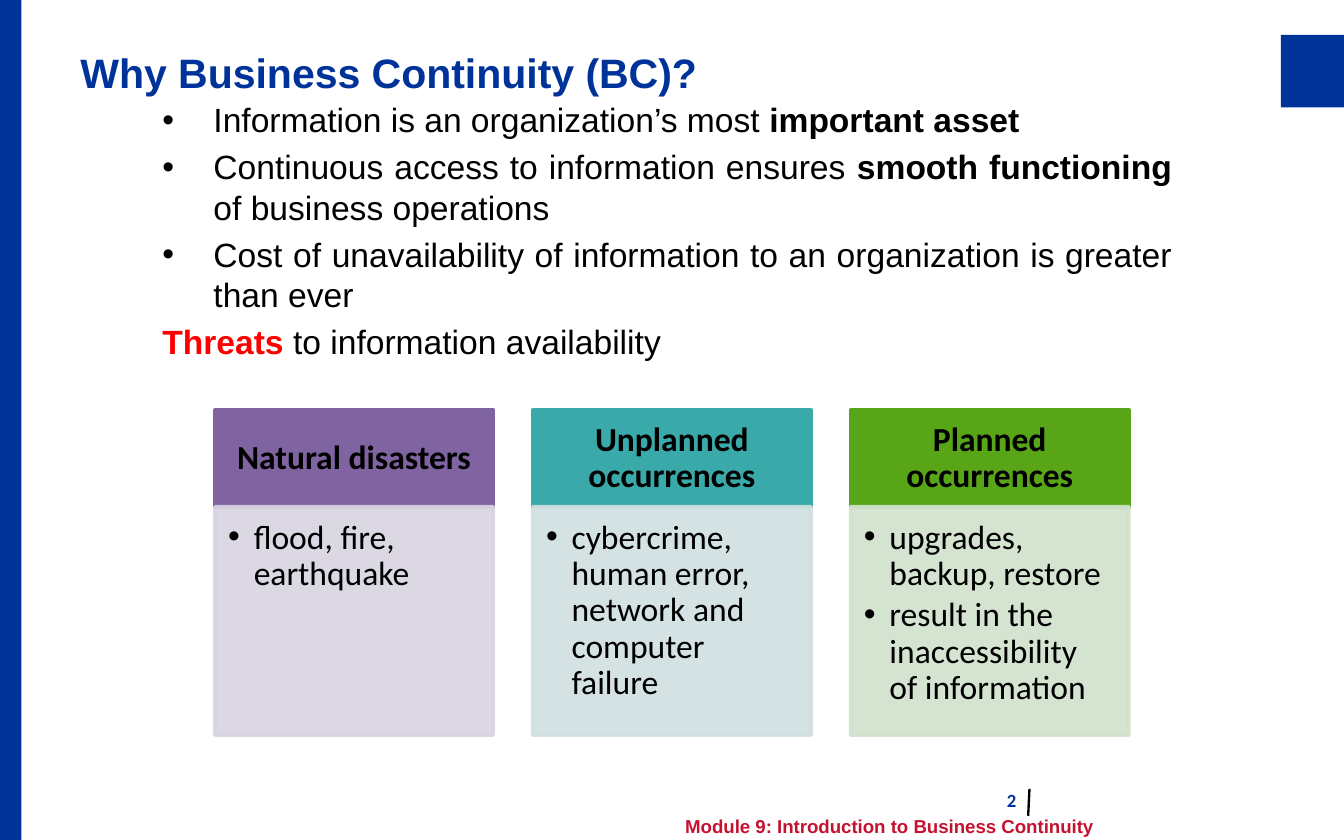
from lxml.etree import SubElement
from pptx import Presentation
from pptx.dml.color import RGBColor
from pptx.enum.shapes import MSO_CONNECTOR, MSO_SHAPE
from pptx.enum.text import MSO_ANCHOR, PP_ALIGN
from pptx.oxml.ns import qn
from pptx.util import Inches, Pt

TITLE = "Why Business Continuity (BC)?"
# Each run is (text, style)
POINTS = [
    [("Information is an organization’s most ", ""), ("important asset", "bold")],
    [("Continuous access to information ensures ", ""),
     ("smooth functioning ", "bold"), ("of business operations", "")],
    [("Cost of unavailability of information to an organization "
      "is greater than ever", "")],
]
LEAD = [("Threats ", "alert"), ("to information availability", "")]
THREATS = [
    ("Natural disasters", ["flood, fire, earthquake"], "8064A2", "D8D3E0"),
    ("Unplanned occurrences",
     ["cybercrime, human error, network and computer failure"],
     "39A9A9", "D0DFE0"),
    ("Planned occurrences",
     ["upgrades, backup, restore",
      "result in the inaccessibility of information"],
     "58A618", "D1E1CC"),
]
FOOTER = "Module 9: Introduction to Business Continuity"
PAGE = "2"

THEME = {
    "blue": "003399", "black": "000000", "red": "FF0000", "footer": "C51230",
    "head": "Arial", "card": "Calibri",
    "title": 22, "text": 18, "small": 10,
}
LEFT, TOP, WIDE, STEP = 1.6, 3.05, 2.07, 2.365
HEAD, BODY = 0.72, 1.7


def color(key):
    return RGBColor.from_string(THEME.get(key, key))


def block(slide, at, fill, edge=False, alpha=None):
    shape = slide.shapes.add_shape(MSO_SHAPE.RECTANGLE, *map(Inches, at))
    shape.shadow.inherit = False
    shape.fill.solid()
    shape.fill.fore_color.rgb = color(fill)
    if edge:
        shape.line.color.rgb = color(fill)
        shape.line.width = Pt(2)
    else:
        shape.line.fill.background()
    if alpha:
        for tint in shape._element.spPr.iter(qn("a:srgbClr")):
            SubElement(tint, qn("a:alpha"), val=str(alpha * 1000))
    return shape


def setup(shape, pads=(0.1, 0.05, 0.1, 0.05), anchor=MSO_ANCHOR.TOP):
    frame = shape.text_frame
    frame.word_wrap = True
    frame.vertical_anchor = anchor
    (frame.margin_left, frame.margin_top,
     frame.margin_right, frame.margin_bottom) = map(Inches, pads)
    return frame


def style(para, face, size, tint="black", bold=False, align=PP_ALIGN.LEFT):
    para.alignment = align
    font = para.font
    font.name, font.size, font.bold = THEME[face], Pt(THEME[size]), bold
    font.color.rgb = color(tint)


def bullet(para, indent):
    props = para._p.get_or_add_pPr()
    props.set("marL", str(Inches(indent)))
    props.set("indent", str(-Inches(indent)))
    SubElement(props, qn("a:buFont"), typeface="Arial")
    SubElement(props, qn("a:buChar"), char="•")


def paras(frame, items):
    """Yield each item with its own paragraph, starting with the first one."""
    for i, item in enumerate(items):
        yield i, item, frame.add_paragraph() if i else frame.paragraphs[0]


def label(slide, at, text, *look, **more):
    box = slide.shapes.add_textbox(*map(Inches, at))
    para = setup(box, anchor=MSO_ANCHOR.MIDDLE).paragraphs[0]
    para.text = text
    style(para, *look, **more)


def points(slide):
    box = slide.shapes.add_textbox(*map(Inches, (1.11, 0.69, 7.71, 2.36)))
    for i, runs, para in paras(setup(box), POINTS + [LEAD]):
        if i:
            para.space_before = Pt(3.6)
        if runs is not LEAD:
            bullet(para, 0.38)
        style(para, "head", "text",
              align=PP_ALIGN.LEFT if runs is LEAD else PP_ALIGN.JUSTIFY)
        for text, kind in runs:
            run = para.add_run()
            run.text = text
            if kind:
                run.font.bold = True
            if kind == "alert":
                run.font.color.rgb = color("red")


def card(slide, left, name, notes, dark, pale):
    top = block(slide, (left, TOP, WIDE, HEAD), dark, edge=True)
    para = setup(top, (0.14, 0.08, 0.14, 0.08), MSO_ANCHOR.MIDDLE).paragraphs[0]
    para.text = name
    para.line_spacing = 0.9
    style(para, "card", "text", bold=True, align=PP_ALIGN.CENTER)

    base = block(slide, (left, TOP + HEAD, WIDE, BODY), pale, edge=True, alpha=90)
    for _, note, para in paras(setup(base, (0.1, 0.1, 0.14, 0.16)), notes):
        para.text = note
        para.line_spacing = 0.9
        para.space_after = Pt(2.7)
        bullet(para, 0.19)
        style(para, "card", "text")


def main():
    deck = Presentation()
    deck.slide_width, deck.slide_height = Inches(10), Inches(6.25)
    slide = deck.slides.add_slide(deck.slide_layouts[6])

    block(slide, (9.53, 0.26, 0.47, 0.54), "blue")
    block(slide, (0, 0, 0.16, 6.25), "blue")
    rule = slide.shapes.add_connector(
        MSO_CONNECTOR.STRAIGHT, *map(Inches, (7.66, 5.87, 7.65, 6.07)))
    rule.line.color.rgb = color("black")
    rule.line.width = Pt(1.25)
    SubElement(rule._element.spPr, qn("a:effectLst"))

    label(slide, (0.5, 0.25, 9.03, 0.57), TITLE, "head", "title", "blue", bold=True)
    points(slide)
    label(slide, (5, 6.04, 3.82, 0.21), FOOTER, "head", "small", "footer", bold=True)
    label(slide, (4.49, 5.79, 3.17, 0.33), PAGE, "card", "small", "blue",
          bold=True, align=PP_ALIGN.RIGHT)
    for i, threat in enumerate(THREATS):
        card(slide, LEFT + i * STEP, *threat)
    deck.save("out.pptx")


if __name__ == "__main__":
    main()
